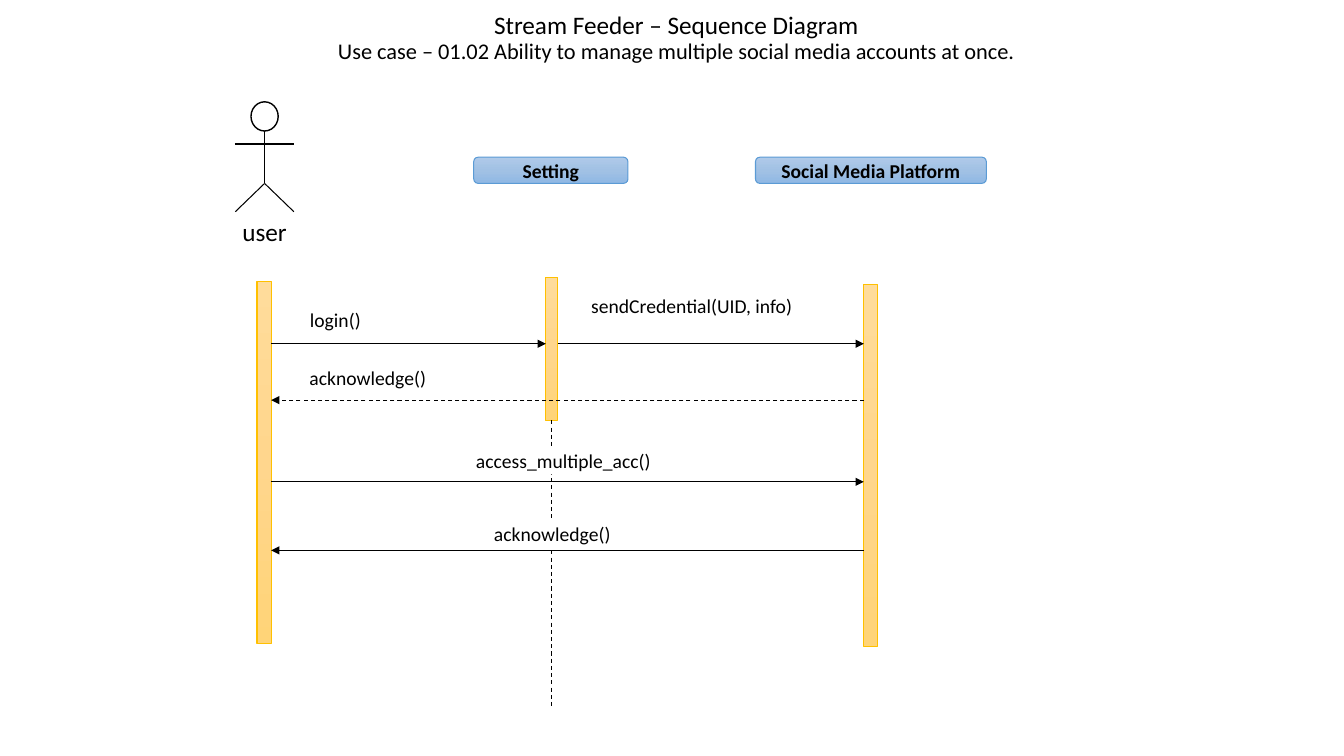
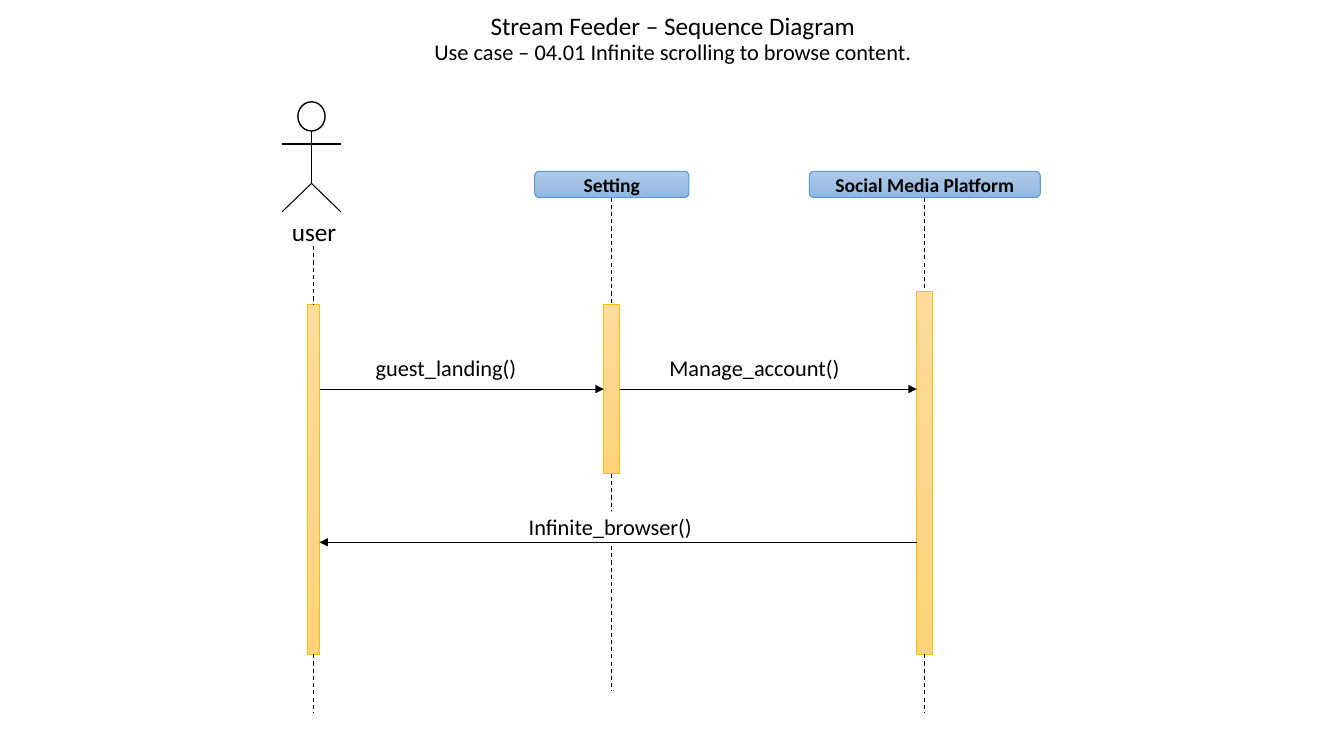
from copy import deepcopy

from lxml import etree
from pptx import Presentation
from pptx.dml.color import RGBColor
from pptx.enum.dml import MSO_LINE
from pptx.enum.shapes import MSO_CONNECTOR, MSO_SHAPE
from pptx.enum.text import MSO_ANCHOR, MSO_AUTO_SIZE, PP_ALIGN
from pptx.oxml.ns import qn
from pptx.util import Inches, Pt

BLACK = RGBColor(0x00, 0x00, 0x00)
WHITE = RGBColor(0xFF, 0xFF, 0xFF)
BLUE = RGBColor(0x5B, 0x9B, 0xD5)
GOLD = RGBColor(0xFF, 0xC0, 0x00)
BLUE_FADE = (RGBColor(0xB0, 0xCA, 0xE9), RGBColor(0xA1, 0xC1, 0xE4), RGBColor(0x90, 0xB8, 0xE4))
GOLD_FADE = (RGBColor(0xFF, 0xDC, 0x9B), RGBColor(0xFF, 0xD6, 0x8D), RGBColor(0xFF, 0xD4, 0x78))
FONT = "Calibri"
THIN, THICK = Pt(0.75), Pt(1)
COLUMNS, ROWS = 133.33, 75
TITLE_ONLY = 5
LEFT, CENTER = PP_ALIGN.LEFT, PP_ALIGN.CENTER
TOP, MIDDLE = MSO_ANCHOR.TOP, MSO_ANCHOR.MIDDLE
STRAIGHT, DASH = MSO_CONNECTOR.STRAIGHT, MSO_LINE.DASH
CIRCLE, RECT, ROUND = MSO_SHAPE.FLOWCHART_CONNECTOR, MSO_SHAPE.RECTANGLE, MSO_SHAPE.ROUNDED_RECTANGLE
NO_FIT, GROW = MSO_AUTO_SIZE.NONE, MSO_AUTO_SIZE.SHAPE_TO_FIT_TEXT


class SequenceDiagram:
    """Draws sequence diagrams on a grid of COLUMNS by ROWS square cells."""

    def __init__(self, prs):
        self.prs = prs
        self.cell = prs.slide_width / COLUMNS
        self.slide = None

    def grid(self, *lengths):
        return [round(length * self.cell) for length in lengths]

    def new_slide(self, title, use_case, left, top, width, height):
        self.slide = self.prs.slides.add_slide(self.prs.slide_layouts[TITLE_ONLY])
        sp = self.slide.shapes.title
        sp.left, sp.top, sp.width, sp.height = self.grid(left, top, width, height)
        tf = sp.text_frame
        tf.auto_size, tf.vertical_anchor, tf.word_wrap = NO_FIT, TOP, True
        p = tf.paragraphs[0]
        p.line_spacing = 0.9
        self.style(p, 18, CENTER)
        r = p.add_run()
        r.text, r.font.size = title, Pt(18)
        p.add_line_break()
        r = p.add_run()
        r.text, r.font.size = use_case, Pt(16)

    def style(self, p, size, align, bold=False):
        p.alignment = align
        p.font.name, p.font.size, p.font.bold = FONT, Pt(size), bold
        p.font.color.rgb = BLACK

    def shape(self, kind, box, fill, line, weight):
        sp = self.slide.shapes.add_shape(kind, *self.grid(*box))
        sp.shadow.inherit = False
        if isinstance(fill, RGBColor):
            sp.fill.solid()
            sp.fill.fore_color.rgb = fill
        else:
            self.fade(sp, fill)
        sp.line.color.rgb = line
        sp.line.width = weight
        return sp

    def fade(self, sp, colors):
        sp.fill.gradient()
        sp.fill.gradient_angle = 270
        stops = next(sp.element.iter(qn("a:gsLst")))
        stops.insert(1, deepcopy(stops[0]))
        for i, (stop, color) in enumerate(zip(sp.fill.gradient_stops, colors)):
            stop.position = i / 2
            stop.color.rgb = color

    def put_text(self, sp, text, size, align=CENTER, bold=False):
        tf = sp.text_frame
        tf.word_wrap, tf.vertical_anchor = True, MIDDLE
        p = tf.paragraphs[0]
        p.text = text
        self.style(p, size, align, bold)

    def line(self, x1, y1, x2, y2, weight=THIN, dashed=False, arrow=False):
        sp = self.slide.shapes.add_connector(STRAIGHT, x1, y1, x2, y2)
        sp.line.color.rgb = BLACK
        sp.line.width = weight
        if dashed:
            sp.line.dash_style = DASH
        if arrow:
            etree.SubElement(sp.get_or_add_ln(), qn("a:tailEnd"), type="triangle")
        etree.SubElement(sp.element.spPr, qn("a:effectLst"))

    def actor(self, name, x, lane):
        self.shape(CIRCLE, (x - 1.35, 10.1, 2.7, 2.9), WHITE, BLACK, THICK)
        self.line(*self.grid(x, 13, x, 18.2))
        for side in (-2.9, 2.9):
            self.line(*self.grid(x, 18.2, x + side, 21))
        self.line(*self.grid(x - 2.95, 14.3, x + 2.95, 14.3), weight=THICK)
        sp = self.slide.shapes.add_textbox(*self.grid(lane - 3.2, 21, 6.5, 4))
        self.put_text(sp, name, 18)
        sp.text_frame.vertical_anchor = TOP
        sp.text_frame.auto_size = GROW

    def header(self, text, lane, top, width):
        sp = self.shape(ROUND, (lane - width / 2, top, width, 2.6), BLUE_FADE, BLUE, THIN)
        self.put_text(sp, text, 14, bold=True)

    def bar(self, lane, top, width, height):
        return self.shape(RECT, (lane - width / 2, top, width, height), GOLD_FADE, GOLD, THIN)

    def message(self, source, target, row, dashed=False):
        y, = self.grid(row)
        if source.left < target.left:
            x1, x2 = source.left + source.width, target.left
        else:
            x1, x2 = source.left, target.left + target.width
        self.line(x1, y, x2, y, dashed=dashed, arrow=True)

    def lifeline(self, lane, top, bottom):
        self.line(*self.grid(lane, top, lane, bottom), dashed=True)

    def label(self, text, box, size, align=CENTER, indent=1):
        sp = self.shape(ROUND, box, WHITE, WHITE, THICK)
        self.put_text(sp, text, size, align)
        sp.text_frame.margin_left, = self.grid(indent)


def manage_accounts(diagram):
    user_lane, setting_lane, platform_lane = 26.2, 54.75, 86.4
    diagram.new_slide("Stream Feeder – Sequence Diagram",
                      "Use case – 01.02 Ability to manage multiple social media accounts at once.",
                      0.9, 0.8, 132.4, 73.3)
    diagram.actor("user", 26.25, user_lane)
    diagram.header("Setting", setting_lane - 0.1, 15.6, 15.3)
    diagram.header("Social Media Platform", platform_lane, 15.6, 22.9)
    user = diagram.bar(user_lane, 27.9, 1.4, 35.9)
    setting = diagram.bar(setting_lane, 27.5, 1.2, 14.2)
    platform = diagram.bar(platform_lane, 28.2, 1.4, 35.9)
    diagram.label("login()", (28.7, 30.2, 21.4, 3), 14, LEFT, indent=1.9)
    diagram.message(user, setting, 34.1)
    diagram.label("sendCredential(UID, info)", (57.5, 28.6, 26.7, 3.5), 14, LEFT)
    diagram.message(setting, platform, 34.1)
    diagram.label("acknowledge()", (29.6, 36.2, 20, 2.5), 14, LEFT)
    diagram.message(platform, user, 39.7, dashed=True)
    diagram.message(user, platform, 47.8)
    diagram.message(platform, user, 54.6)
    diagram.lifeline(setting_lane, 41.7, 70)
    diagram.label("access_multiple_acc()", (41.6, 44.5, 28.6, 2.5), 14)
    diagram.label("acknowledge()", (45, 51.6, 19.6, 2.7), 14)


def scroll_content(diagram):
    user_lane, setting_lane, platform_lane = 31.1, 60.7, 91.75
    diagram.new_slide("Stream Feeder – Sequence Diagram",
                      "Use case – 04.01 Infinite scrolling to browse content.",
                      1, 0.9, 131.5, 73.4)
    diagram.actor("user", 30.9, user_lane)
    diagram.header("Setting", setting_lane, 17, 15.3)
    diagram.header("Social Media Platform", platform_lane, 17, 22.9)
    user = diagram.bar(user_lane, 30.2, 1.2, 34.7)
    setting = diagram.bar(setting_lane, 30.2, 1.6, 16.8)
    platform = diagram.bar(platform_lane, 28.9, 1.6, 36)
    for lane, top, bottom in ((user_lane, 24.4, 30.2), (user_lane, 64.9, 70.7),
                              (setting_lane, 19.6, 30.2), (setting_lane, 47, 68.6),
                              (platform_lane, 19.6, 28.7), (platform_lane, 64.9, 70.7)):
        diagram.lifeline(lane, top, bottom)
    for text, left, top, source, target, row in (
            ("guest_landing()", 32.4, 35, user, setting, 38.6),
            ("Manage_account()", 63, 35, setting, platform, 38.6),
            ("Infinite_browser()", 48.7, 50.8, platform, user, 53.8)):
        diagram.label(text, (left, top, 23.7, 2.9), 16)
        diagram.message(source, target, row)


def main():
    prs = Presentation()
    prs.slide_width, prs.slide_height = Inches(COLUMNS / 10), Inches(ROWS / 10)
    diagram = SequenceDiagram(prs)
    manage_accounts(diagram)
    scroll_content(diagram)
    prs.save("out.pptx")


main()
